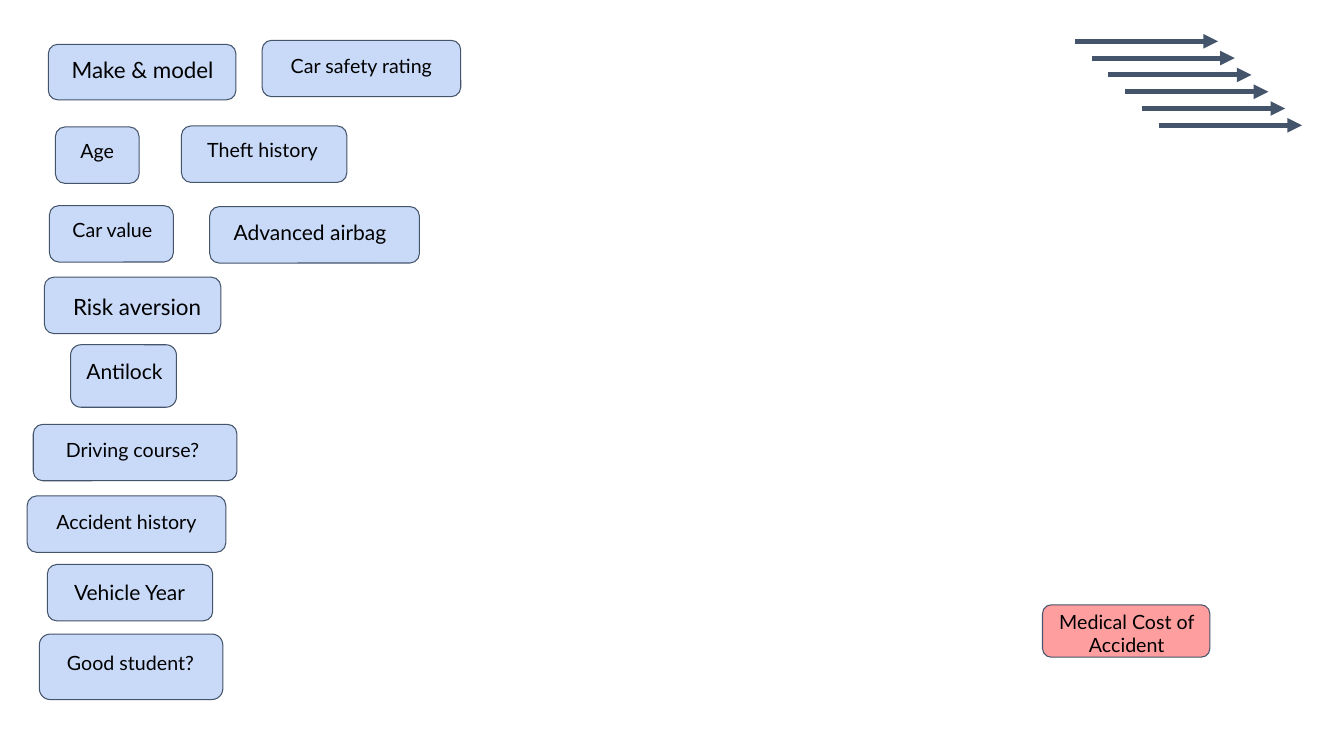
"""Build a slide of insurance risk factors to be linked with arrows."""
from lxml.etree import SubElement
from pptx import Presentation
from pptx.dml.color import RGBColor
from pptx.enum.shapes import MSO_CONNECTOR as Connector, MSO_SHAPE as Shape
from pptx.enum.text import MSO_ANCHOR as Anchor, PP_ALIGN as Align
from pptx.oxml.ns import qn
from pptx.util import Inches, Pt

COLORS = {"factor": "C9DAF8", "cost": "FF0000", "edge": "44546A", "text": "000000"}
FONT = "Lato"
LABEL_HEIGHT = 0.56
LABEL_FRAME = {
    "word_wrap": True,
    "vertical_anchor": Anchor.TOP,
    "margin_left": Inches(0.13),
    "margin_right": Inches(0.13),
    "margin_top": Inches(0.13),
    "margin_bottom": Inches(0.13),
}

# Each entry: wording, font size, box (left, top, width, height), label (left, top, width)
FACTORS = [
    ("Age", 14, (0.55, 1.26, 0.83, 0.56), (0.55, 1.26, 0.83)),
    ("Good student?", 14, (0.39, 6.29, 1.82, 0.65), (0.21, 6.34, 2.17)),
    ("Vehicle Year", 15, (0.47, 5.6, 1.64, 0.56), (0.44, 5.62, 1.69)),
    ("Make & model", 16, (0.48, 0.44, 1.86, 0.55), (0.48, 0.43, 1.87)),
    ("Accident history", 14, (0.27, 4.92, 1.97, 0.56), (0.17, 4.94, 2.17)),
    ("Driving course?", 14, (0.33, 4.21, 2.02, 0.56), (0.28, 4.23, 2.07)),
    ("Antilock", 15, (0.7, 3.42, 1.05, 0.62), (0.6, 3.43, 1.27)),
    ("Advanced airbag", 15, (2.08, 2.05, 2.08, 0.56), (1.99, 2.05, 2.17)),
    ("Car value", 14, (0.49, 2.04, 1.23, 0.56), (0.41, 2.04, 1.41)),
    ("Risk aversion", 16, (0.44, 2.75, 1.75, 0.56), (0.45, 2.78, 1.82)),
    ("Theft history", 14, (1.8, 1.25, 1.64, 0.56), (1.52, 1.25, 2.17)),
    ("Car safety rating", 14, (2.6, 0.4, 1.97, 0.56), (2.5, 0.42, 2.17)),
]
COST = ("Medical Cost of Accident", 14, (10.34, 6, 1.66, 0.52), (10.09, 5.92, 2.17))

ARROW_COUNT = 6
ARROW_START = (10.66, 0.41)
ARROW_LENGTH = 1.42
ARROW_STEP = 1 / 6


def rgb(name):
    """Return the named colour."""
    return RGBColor.from_string(COLORS[name])


def set_alpha(fill_owner, percent):
    """Make the solid fill of a shape partly transparent."""
    color = fill_owner.element.spPr.find(f"{qn('a:solidFill')}/{qn('a:srgbClr')}")
    SubElement(color, qn("a:alpha"), val=str(percent * 1000))


def add_box(group, bounds, fill):
    """Add a rounded box to the group."""
    box = group.shapes.add_shape(Shape.ROUNDED_RECTANGLE, *map(Inches, bounds))
    box.shadow.inherit = False
    box.fill.solid()
    box.fill.fore_color.rgb = rgb(fill)
    box.line.color.rgb = rgb("edge")
    box.line.width = Pt(0.75)
    return box


def add_label(group, wording, size, place):
    """Add a centred label to the group."""
    label = group.shapes.add_textbox(*map(Inches, (*place, LABEL_HEIGHT)))
    frame = label.text_frame
    for name, value in LABEL_FRAME.items():
        setattr(frame, name, value)
    paragraph = frame.paragraphs[0]
    paragraph.alignment = Align.CENTER
    run = paragraph.add_run()
    run.text = wording
    run.font.name = FONT
    run.font.size = Pt(size)
    run.font.color.rgb = rgb("text")


def add_node(slide, wording, size, bounds, place, fill="factor"):
    """Add a grouped box and label, and return the box."""
    group = slide.shapes.add_group_shape()
    box = add_box(group, bounds, fill)
    add_label(group, wording, size, place)
    return box


def add_arrow(slide, left, top):
    """Add a horizontal arrow pointing right."""
    arrow = slide.shapes.add_connector(
        Connector.STRAIGHT,
        Inches(left), Inches(top), Inches(left + ARROW_LENGTH), Inches(top),
    )
    arrow.line.color.rgb = rgb("edge")
    arrow.line.width = Pt(3.5)
    SubElement(arrow.line._get_or_add_ln(), qn("a:tailEnd"), type="triangle")
    SubElement(arrow.element.spPr, qn("a:effectLst"))


def main():
    """Build and save the slide."""
    deck = Presentation()
    deck.slide_width, deck.slide_height = Inches(13.33), Inches(7.5)
    slide = deck.slides.add_slide(deck.slide_layouts[6])
    for factor in FACTORS:
        add_node(slide, *factor)
    set_alpha(add_node(slide, *COST, fill="cost"), 38)
    left, top = ARROW_START
    for index in range(ARROW_COUNT):
        add_arrow(slide, left + index * ARROW_STEP, top + index * ARROW_STEP)
    deck.save("out.pptx")


if __name__ == "__main__":
    main()
